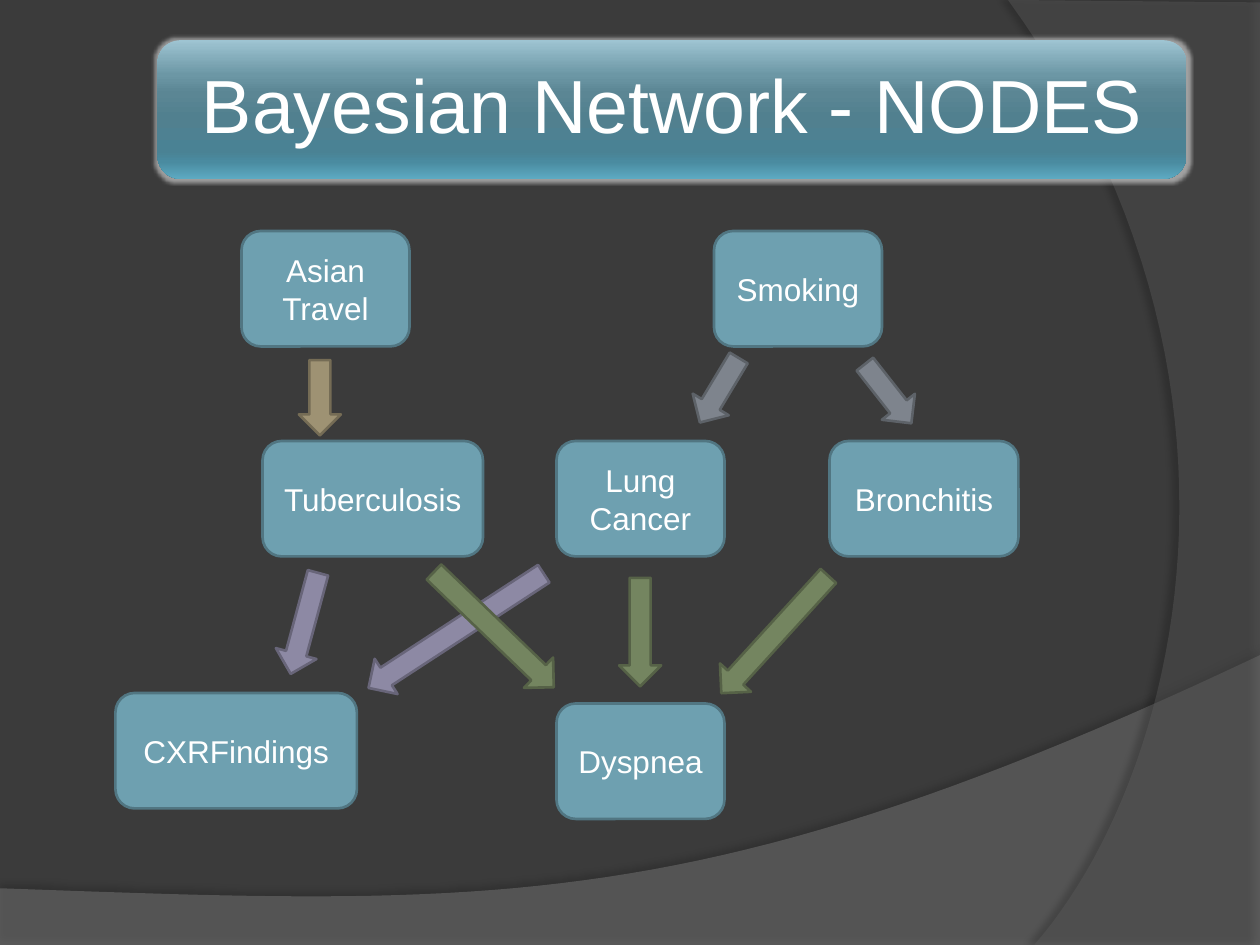
from lxml.etree import SubElement
from pptx import Presentation
from pptx.dml.color import RGBColor
from pptx.enum.shapes import MSO_SHAPE
from pptx.enum.text import MSO_ANCHOR, MSO_AUTO_SIZE, PP_ALIGN
from pptx.oxml.ns import qn
from pptx.util import Pt

NODE_HEIGHT = 66
ARROW_WIDTH = 24
TOP_ROW, MIDDLE_ROW = 132, 252

# label, left, top, width
NODES = [
    ("Asian Travel", 138, TOP_ROW, 96),
    ("Smoking", 408, TOP_ROW, 96),
    ("Dyspnea", 318, 402, 96),
    ("Tuberculosis", 150, MIDDLE_ROW, 126),
    ("Lung Cancer", 318, MIDDLE_ROW, 96),
    ("CXRFindings", 66, 396, 138),
    ("Bronchitis", 474, MIDDLE_ROW, 108),
]
SLATE, GREEN = ("7E848D", "5D6268"), ("748560", "566247")
SAND, VIOLET = ("9E9273", "756C55"), ("8D89A4", "686579")
# left, top, length, rotation, (fill, line)
ARROWS = [
    (389.5, 211, 43, 121, SLATE),        # Smoking to Lung Cancer
    (334.8, 349.2, 62, 90, GREEN),       # Lung Cancer to Dyspnea
    (486, 213, 43, 51.8, SLATE),         # Smoking to Bronchitis
    (397.4, 350.6, 90.7, 132.4, GREEN),  # Bronchitis to Dyspnea
    (161.3, 215.3, 43, 90, SAND),        # Asian Travel to Tuberculosis
    (144, 344.2, 59.8, 105.1, VIOLET),   # Tuberculosis to CXRFindings
    (200.9, 348.5, 119.5, 146.9, VIOLET),  # Lung Cancer to CXRFindings
    (234.7, 347.8, 95, 43.9, GREEN),     # Tuberculosis to Dyspnea
]
BANNER_BOX = (90, 23, 588, 79.2)
BANNER_STOPS = [(0, "9EC4D2"), (25, "6C97A5"), (38, "5B8694"), (55, "51808F"),
                (80, "4A8294"), (88, "4A8BA0"), (100, "5DAAC2")]


def rgb(hex_color):
    return RGBColor.from_string(hex_color)


def set_all(target, values):
    for name, value in values.items():
        setattr(target, name, value)


def add_color(parent, hex_color, opacity=100):
    color = SubElement(parent, qn("a:srgbClr"), val=hex_color)
    SubElement(color, qn("a:alpha"), val=str(opacity * 1000))


def bezier(start, control1, control2, end, steps=48):
    """Return points along a cubic curve, without its start."""
    points = []
    for step in range(1, steps + 1):
        t = step / steps
        weights = ((1 - t) ** 3, 3 * t * (1 - t) ** 2, 3 * t * t * (1 - t), t ** 3)
        points.append(tuple(
            sum(w * p[axis] for w, p in zip(weights, (start, control1, control2, end)))
            for axis in (0, 1)))
    return points


class NetworkSlide:
    """Style of the network diagram and the slide it is drawn on."""
    background, node_fill, node_line, text_color = "3B3B3B", "6EA0B0", "517682", "FFFFFF"
    font, node_size, title_size = "Arial", 18, 43

    def __init__(self, presentation):
        self.slide = presentation.slides.add_slide(presentation.slide_layouts[5])
        self.shapes = self.slide.shapes
        fill = self.slide.background.fill
        fill.solid()
        fill.fore_color.rgb = rgb(self.background)

    def label(self, shape, text, size, **paragraph_format):
        frame = shape.text_frame
        set_all(frame, {"text": text, "word_wrap": True,
                        "auto_size": MSO_AUTO_SIZE.NONE,
                        "vertical_anchor": MSO_ANCHOR.MIDDLE})
        paragraph = frame.paragraphs[0]
        set_all(paragraph, {"alignment": PP_ALIGN.CENTER, **paragraph_format})
        font = paragraph.runs[0].font
        set_all(font, {"name": self.font, "size": Pt(size)})
        font.color.rgb = rgb(self.text_color)

    def block(self, preset, box, fill, line):
        shape = self.shapes.add_shape(preset, *map(Pt, box))
        shape.shadow.inherit = False
        shape.fill.solid()
        shape.fill.fore_color.rgb = rgb(fill)
        shape.line.color.rgb = rgb(line)
        shape.line.width = Pt(1.5)
        return shape

    def node(self, name, left, top, width):
        node = self.block(MSO_SHAPE.ROUNDED_RECTANGLE, (left, top, width, NODE_HEIGHT),
                          self.node_fill, self.node_line)
        self.label(node, name, self.node_size)

    def arrow(self, left, top, length, rotation, colors):
        arrow = self.block(MSO_SHAPE.RIGHT_ARROW, (left, top, length, ARROW_WIDTH), *colors)
        arrow.rotation = rotation

    def swoosh(self, points, fill, opacity, shadow_opacity, shadow_distance, shadow_angle):
        """Draw a translucent backdrop outline with a soft shadow."""
        start, *rest = [(Pt(x), Pt(y)) for x, y in points]
        builder = self.shapes.build_freeform(*start, scale=1.0)
        builder.add_line_segments(rest, close=True)
        shape = builder.convert_to_shape()
        shape.line.fill.background()
        shape.fill.solid()
        shape.fill.fore_color.rgb = rgb(fill)
        color = shape._element.spPr.find(".//" + qn("a:srgbClr"))
        SubElement(color, qn("a:alpha"), val=str(opacity * 1000))
        shape.shadow.inherit = False
        effects = shape._element.spPr.find(qn("a:effectLst"))
        shadow = SubElement(effects, qn("a:outerShdw"), blurRad=str(Pt(4)),
                            dist=str(Pt(shadow_distance)),
                            dir=str(shadow_angle * 60000), rotWithShape="0")
        add_color(shadow, "000000", shadow_opacity)

    def banner(self, box, stops):
        """Draw the glowing gradient panel behind the title."""
        panel = self.shapes.add_shape(MSO_SHAPE.ROUNDED_RECTANGLE, *map(Pt, box))
        panel.line.fill.background()
        panel.fill.gradient()
        panel.fill.gradient_angle = 270
        stop_list = panel._element.spPr.find(".//" + qn("a:gsLst"))
        for old_stop in list(stop_list):
            stop_list.remove(old_stop)
        for position, color in stops:
            add_color(SubElement(stop_list, qn("a:gs"), pos=str(position * 1000)), color)
        panel.shadow.inherit = False
        effects = panel._element.spPr.find(qn("a:effectLst"))
        add_color(SubElement(effects, qn("a:glow"), rad=str(Pt(4))), "FFFFFF", 50)

    def title(self, text, box):
        title = self.shapes.title
        set_all(title, dict(zip(("left", "top", "width", "height"), map(Pt, box))))
        self.label(title, text, self.title_size, line_spacing=0.9)
        sides = ("margin_left", "margin_top", "margin_right", "margin_bottom")
        set_all(title.text_frame, dict.fromkeys(sides, Pt(13)))
        # Bring the title in front of the banner.
        self.shapes._spTree.append(title._element)


def main():
    presentation = Presentation()
    set_all(presentation, {"slide_width": Pt(720), "slide_height": Pt(540)})
    network = NetworkSlide(presentation)

    hill = bezier((720, 374.4), (402.5, 524.9), (281.5, 517.7), (0, 507.6))
    network.swoosh([(0, 540), (720, 540), (720, 374.4), *hill], "7F7F7F", 45, 35, 3.5, 270)
    arc = bezier((591, 540), (673.2, 445.7), (733, 216), (576, 0))
    network.swoosh([(720, 1.4), (720, 540), (591, 540), *arc], "5E5E5E", 40, 45, 4, 180)

    for node in NODES:
        network.node(*node)
    for arrow in ARROWS:
        network.arrow(*arrow)
    network.banner(BANNER_BOX, BANNER_STOPS)
    network.title("Bayesian Network - NODES", BANNER_BOX)
    presentation.save("out.pptx")


if __name__ == "__main__":
    main()
